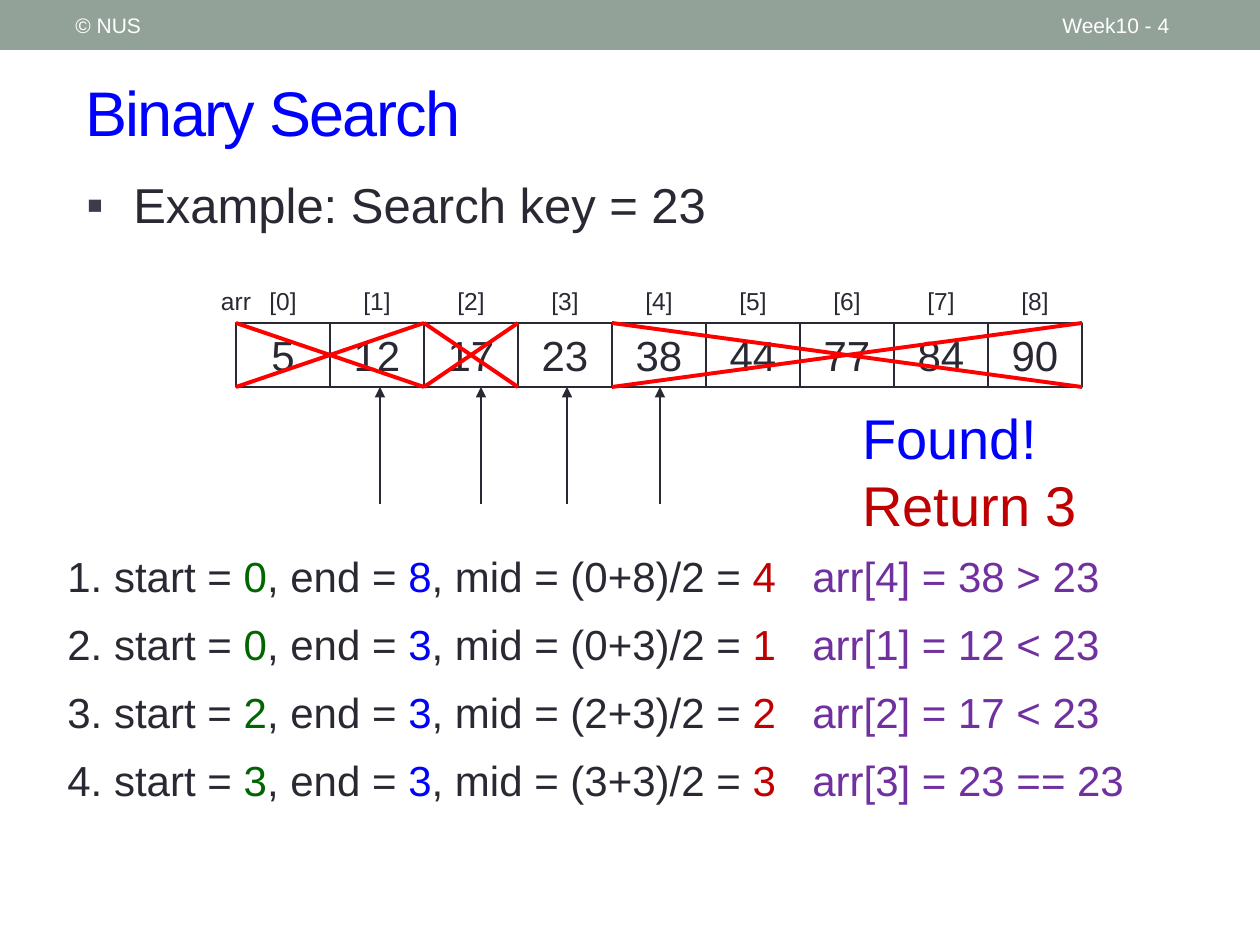
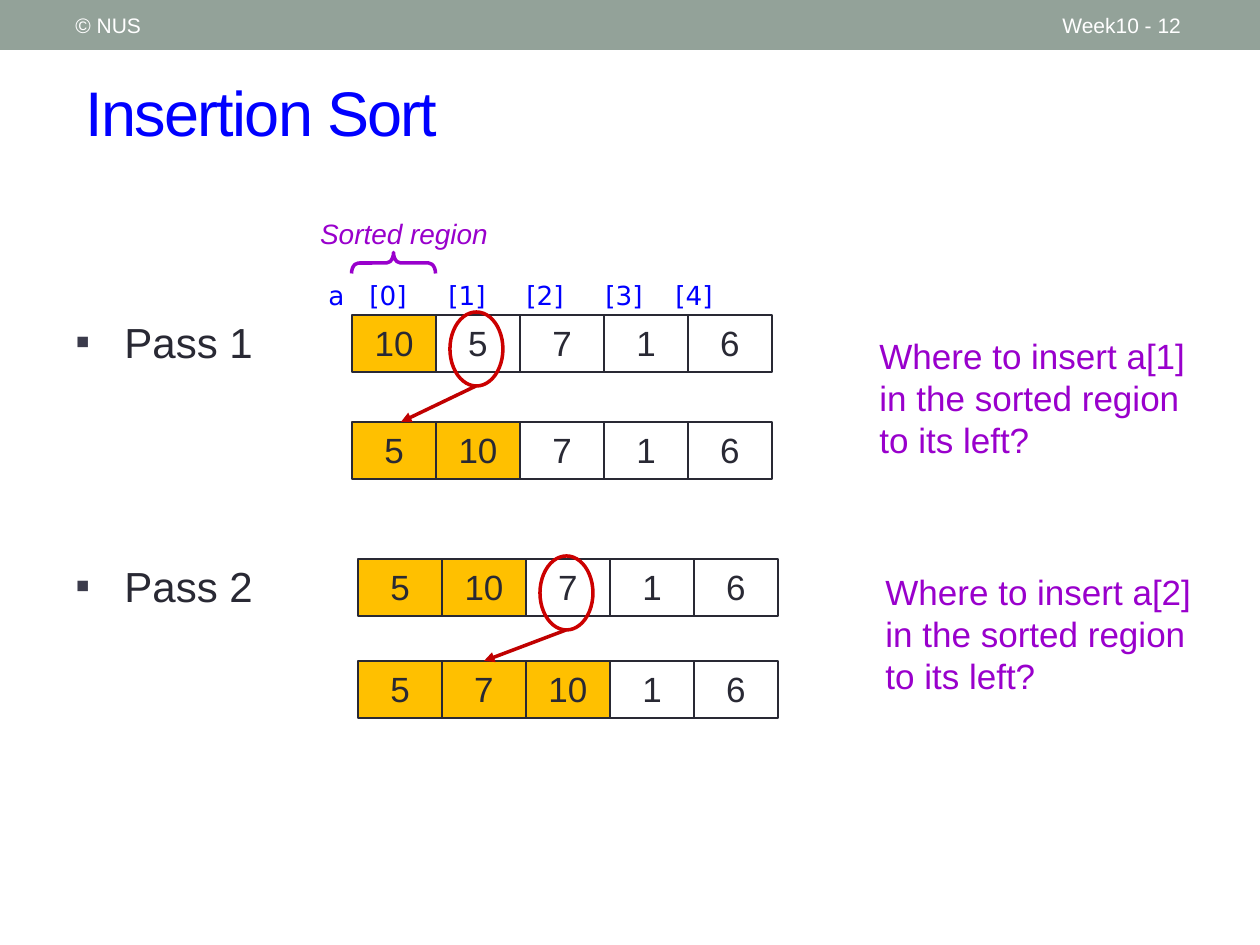
from lxml.etree import SubElement
from pptx import Presentation
from pptx.dml.color import RGBColor
from pptx.enum.shapes import MSO_CONNECTOR, MSO_SHAPE
from pptx.enum.text import MSO_ANCHOR, PP_ALIGN
from pptx.oxml.ns import qn
from pptx.util import Emu, Pt

EMU_PER_PX = 914400 / 126
SLIDE_WIDTH, SLIDE_HEIGHT = 1260, 945
COLORS = {
    "band": "93A299", "white": "FFFFFF", "text": "292934", "bullet": "3B3B4B",
    "blue": "0000FF", "green": "006600", "dark_red": "C00000", "cross": "FF0000",
    "comparison": "7030A0", "purple": "9900CC", "circle": "CC0000", "sorted": "FFC000",
}


def px(length):
    """Turn pixels into EMU."""
    return Emu(round(length * EMU_PER_PX))


def rgb(name):
    """Look up a named colour."""
    return RGBColor.from_string(COLORS[name])


def style_paragraph(paragraph, size, color, font="Arial", italic=None):
    """Set the font shared by all runs of a paragraph."""
    paragraph.font.name = font
    paragraph.font.size = Pt(size)
    paragraph.font.italic = italic
    paragraph.font.color.rgb = rgb(color)


def add_runs(paragraph, runs):
    """Add (text, colour) runs, where a colour of None keeps the paragraph's own."""
    for text, color in runs:
        run = paragraph.add_run()
        run.text = text
        if color:
            run.font.color.rgb = rgb(color)


def add_text(slide, box, runs, size, color="text", align=PP_ALIGN.LEFT,
             anchor=MSO_ANCHOR.TOP, wrap=True, **font):
    """Add a one-paragraph text box and return its paragraph."""
    frame = slide.shapes.add_textbox(*map(px, box)).text_frame
    frame.word_wrap = wrap
    frame.vertical_anchor = anchor
    paragraph = frame.paragraphs[0]
    paragraph.alignment = align
    add_runs(paragraph, [(runs, None)] if isinstance(runs, str) else runs)
    style_paragraph(paragraph, size, color, **font)
    return paragraph


def add_bullet(slide, box, text, size, indent, line_spacing=1.0):
    """Add a text box holding one square-bulleted line."""
    frame = slide.shapes.add_textbox(*map(px, box)).text_frame
    frame.word_wrap = True
    paragraph = frame.paragraphs[0]
    paragraph.line_spacing = line_spacing
    properties = paragraph._p.get_or_add_pPr()
    properties.set("marL", str(px(indent)))
    properties.set("indent", str(-px(indent)))
    bullet_color = SubElement(properties, qn("a:buClr"))
    SubElement(bullet_color, qn("a:srgbClr"), val=COLORS["bullet"])
    SubElement(properties, qn("a:buFont"), typeface="Arial")
    SubElement(properties, qn("a:buChar"), char="▪")
    add_runs(paragraph, [(text, None)])
    style_paragraph(paragraph, size, "text")


def add_shape(slide, kind, box, fill=None, line=None, line_width=1):
    """Add a preset shape without a shadow."""
    shape = slide.shapes.add_shape(kind, *map(px, box))
    shape.shadow.inherit = False
    if fill:
        shape.fill.solid()
        shape.fill.fore_color.rgb = rgb(fill)
    else:
        shape.fill.background()
    if line:
        shape.line.color.rgb = rgb(line)
        shape.line.width = Pt(line_width)
    else:
        shape.line.fill.background()
    return shape


def add_line(slide, start, end, color, width, arrow=False):
    """Add a straight line, with an arrowhead at its end if asked."""
    connector = slide.shapes.add_connector(
        MSO_CONNECTOR.STRAIGHT, *map(px, (*start, *end)))
    connector.line.color.rgb = rgb(color)
    connector.line.width = Pt(width)
    properties = connector._element.spPr
    if arrow:
        SubElement(properties.find(qn("a:ln")), qn("a:tailEnd"), type="triangle")
    SubElement(properties, qn("a:effectLst"))


def add_array(slide, left, top, cell_width, cell_height, values, size,
              line_width, sorted_count=0):
    """Draw a row of cells, the first ones filled as sorted."""
    for index, value in enumerate(values):
        box = (left + index * cell_width, top, cell_width, cell_height)
        fill = "sorted" if index < sorted_count else None
        cell = add_shape(slide, MSO_SHAPE.RECTANGLE, box, fill, "text", line_width)
        cell.text_frame.vertical_anchor = MSO_ANCHOR.TOP
        paragraph = cell.text_frame.paragraphs[0]
        paragraph.alignment = PP_ALIGN.CENTER
        add_runs(paragraph, [(str(value), None)])
        style_paragraph(paragraph, size, "text")


def add_base_slide(presentation, title, number):
    """Add a slide with its band, header texts and title."""
    slide = presentation.slides.add_slide(presentation.slide_layouts[6])
    add_shape(slide, MSO_SHAPE.RECTANGLE, (0, 0, SLIDE_WIDTH, 50), "band")
    for left, width, text in ((63, 399, "© NUS"), (1050, 147, f"Week10 - {number}")):
        add_text(slide, (left, 3, width, 45), text, 12, "white",
                 anchor=MSO_ANCHOR.MIDDLE, wrap=False)
    paragraph = add_text(slide, (73, 53, 1155, 116), title, 36, "blue",
                         anchor=MSO_ANCHOR.MIDDLE)
    paragraph.runs[0]._r.get_or_add_rPr().set("spc", "-100")
    return slide


def add_search_array(slide, left, top):
    """Draw the searched array with indices, probe arrows and crossed-out ranges."""
    values = (5, 12, 17, 23, 38, 44, 77, 84, 90)
    width, height = 94, 64
    add_array(slide, left, top, width, height, values, 24, 0.75)
    labels = [(-47, "arr")] + [(i * width, f"[{i}]") for i in range(len(values))]
    for offset, label in labels:
        add_text(slide, (left + offset, top - 43, width, 43), label, 14,
                 align=PP_ALIGN.CENTER)
    bottom = top + height
    for offset in (144, 245, 331, 424):
        add_line(slide, (left + offset, bottom + 117), (left + offset, bottom),
                 "text", 1.25, arrow=True)
    for first, last in ((4, 9), (0, 2), (2, 3)):
        start, end = left + first * width, left + last * width
        add_line(slide, (start, top), (end, bottom), "cross", 2.25)
        add_line(slide, (start, bottom), (end, top), "cross", 2.25)


def add_search_steps(slide, left, top):
    """List each step's bounds and midpoint beside its comparison."""
    steps = ((0, 8, 4, "38 > 23"), (0, 3, 1, "12 < 23"),
             (2, 3, 2, "17 < 23"), (3, 3, 3, "23 == 23"))
    for index, (start, end, middle, comparison) in enumerate(steps):
        step_top = top + index * 68
        runs = [(f"{index + 1}. start = ", None), (str(start), "green"),
                (", end = ", None), (str(end), "blue"),
                (f", mid = ({start}+{end})/2 = ", None), (str(middle), "dark_red")]
        add_text(slide, (left, step_top, 790, 63), runs, 24)
        add_text(slide, (left + 745, step_top, 352, 63),
                 f"arr[{middle}] = {comparison}", 24, "comparison")


def add_search_result(slide, left, top):
    """Announce the index that was found."""
    paragraph = add_text(slide, (left, top, 275, 149), "Found!", 32, "blue")
    result = paragraph._parent.add_paragraph()
    add_runs(result, [("Return 3", None)])
    style_paragraph(result, 32, "dark_red")


def add_sorted_region_heading(slide, left, top):
    """Place the index labels and the braced caption above an array."""
    paragraph = add_text(slide, (left - 36, top - 42, 462, 44),
                         "\t".join(["a"] + [f"[{i}]" for i in range(5)]),
                         15, "blue", font="DejaVu Sans")
    properties = paragraph._p.get_or_add_pPr()
    tabs = SubElement(properties, qn("a:tabLst"))
    properties.insert(0, tabs)
    for position in (41, 120, 198, 277, 347):
        SubElement(tabs, qn("a:tab"), pos=str(px(position)), algn="l")
    brace = add_shape(slide, MSO_SHAPE.LEFT_BRACE, (left + 31, top - 94, 21, 84),
                      line="purple", line_width=2)
    brace.rotation = 90
    brace.adjustments[0] = 0.33
    add_text(slide, (left - 53, top - 105, 210, 47), "Sorted region", 16, "purple",
             align=PP_ALIGN.CENTER, italic=True)


def add_insertion_pass(slide, left, top, number, before, after, row_gap, tip,
                       question_offset):
    """Draw one pass: the rows before and after, the moved value and its question."""
    width, height = 84, 57
    add_bullet(slide, (63, top - 5, 260, 66), f"Pass {number}", 24, 49)
    add_array(slide, left, top, width, height, before, 20, 1, number)
    add_array(slide, left, top + row_gap, width, height, after, 20, 1, number + 1)
    circle_left = left + number * width + 14
    add_shape(slide, MSO_SHAPE.OVAL, (circle_left, top - 3, 53, 74),
              line="circle", line_width=2)
    add_line(slide, (circle_left + 26, top + 71), (left + tip, top + row_gap),
             "dark_red", 2, arrow=True)
    add_text(slide, (left + 515, top + question_offset, 336, 139),
             f"Where to insert a[{number}] in the sorted region to its left?",
             20, "purple")


def build_binary_search(presentation):
    """Build the binary search slide."""
    slide = add_base_slide(presentation, "Binary Search", 4)
    add_bullet(slide, (74, 175, 1092, 74), "Example: Search key = 23", 28, 47, 0.9)
    add_search_array(slide, 236, 323)
    add_search_steps(slide, 55, 544)
    add_search_result(slide, 850, 397)


def build_insertion_sort(presentation):
    """Build the insertion sort slide."""
    slide = add_base_slide(presentation, "Insertion Sort", 12)
    add_sorted_region_heading(slide, 352, 315)
    add_insertion_pass(slide, 352, 315, 1, (10, 5, 7, 1, 6), (5, 10, 7, 1, 6),
                       107, 49, 13)
    add_insertion_pass(slide, 358, 559, 2, (5, 10, 7, 1, 6), (5, 7, 10, 1, 6),
                       102, 126, 5)


def main():
    """Build and save the presentation."""
    presentation = Presentation()
    presentation.slide_width = px(SLIDE_WIDTH)
    presentation.slide_height = px(SLIDE_HEIGHT)
    build_binary_search(presentation)
    build_insertion_sort(presentation)
    presentation.save("out.pptx")


if __name__ == "__main__":
    main()
